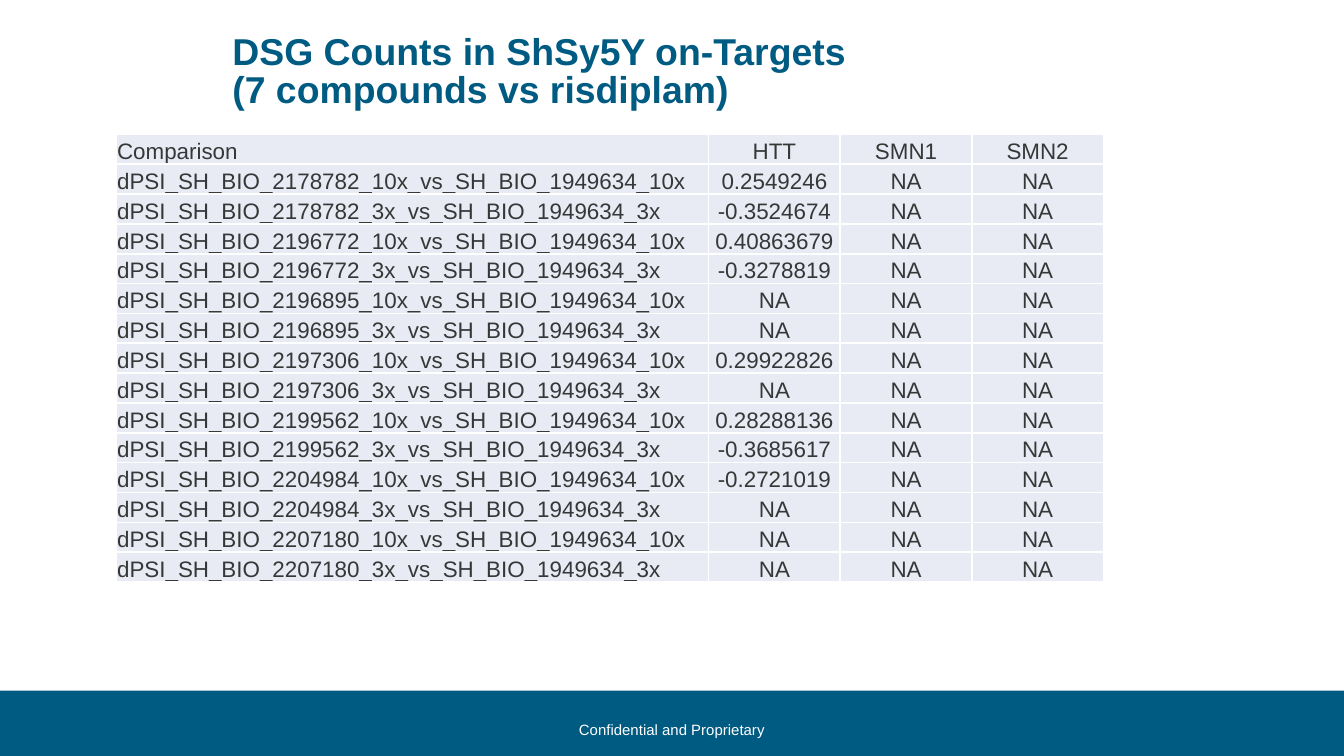
import pptx
import pptx.dml.color
import pptx.enum.shapes
import pptx.enum.text
import pptx.oxml
import pptx.oxml.ns
import pptx.util

Pt = pptx.util.Pt
RGBColor = pptx.dml.color.RGBColor
ALIGN = pptx.enum.text.PP_ALIGN
ANCHOR = pptx.enum.text.MSO_ANCHOR

# Content
TITLE = "DSG Counts in ShSy5Y on-Targets\n(7 compounds vs risdiplam)"
FOOTER = "Confidential and Proprietary"
HEADER = ("Comparison", "HTT", "SMN1", "SMN2")
DOSES = ("10x", "3x")
HTT_BY_COMPOUND = {  # one value per dose
    "2178782": ("0.2549246", "-0.3524674"),
    "2196772": ("0.40863679", "-0.3278819"),
    "2196895": ("NA", "NA"),
    "2197306": ("0.29922826", "NA"),
    "2199562": ("0.28288136", "-0.3685617"),
    "2204984": ("-0.2721019", "NA"),
    "2207180": ("NA", "NA"),
}

# Format
BLUE = RGBColor(0x00, 0x5B, 0x82)
WHITE = RGBColor(0xFF, 0xFF, 0xFF)
DARK = RGBColor(0x36, 0x38, 0x38)
CELL_FILL = RGBColor(0xE8, 0xEB, 0xF3)
SLIDE_WIDTH, SLIDE_HEIGHT = 720, 405
BAND_TOP = 370
TABLE_LEFT, TABLE_TOP, ROW_HEIGHT = 62.25, 72, 16
COLUMN_WIDTHS = (317.4, 70.5, 70.5, 70.5)


def write_text(frame, text, size, color, bold=False, align=ALIGN.LEFT, line_spacing=None):
    paragraph = frame.paragraphs[0]
    paragraph.text = text
    paragraph.alignment = align
    if line_spacing:
        paragraph.line_spacing = line_spacing
    for run in paragraph.runs:
        run.font.name = "Arial"
        run.font.size = Pt(size)
        run.font.bold = bold
        run.font.color.rgb = color


def add_borders(cell, color, width):
    properties = cell._tc.get_or_add_tcPr()
    for side in ("lnL", "lnR", "lnT", "lnB"):
        properties.append(pptx.oxml.parse_xml(
            f'<a:{side} {pptx.oxml.ns.nsdecls("a")} w="{Pt(width)}">'
            f'<a:solidFill><a:srgbClr val="{color}"/></a:solidFill></a:{side}>'))


presentation = pptx.Presentation()
presentation.slide_width = Pt(SLIDE_WIDTH)
presentation.slide_height = Pt(SLIDE_HEIGHT)
slide = presentation.slides.add_slide(presentation.slide_layouts[6])

# Footer band
band = slide.shapes.add_shape(
    pptx.enum.shapes.MSO_SHAPE.RECTANGLE,
    0, Pt(BAND_TOP), Pt(SLIDE_WIDTH), Pt(SLIDE_HEIGHT - BAND_TOP))
band.shadow.inherit = False
band.fill.solid()
band.fill.fore_color.rgb = BLUE
band.line.fill.background()

footer = slide.shapes.add_textbox(Pt(302.4), Pt(382.5), Pt(115.2), Pt(17))
footer.text_frame.word_wrap = False
footer.text_frame.vertical_anchor = ANCHOR.MIDDLE
write_text(footer.text_frame, FOOTER, size=8, color=WHITE, align=ALIGN.CENTER)

# Table of comparisons
rows = [HEADER]
for compound, values in HTT_BY_COMPOUND.items():
    for dose, value in zip(DOSES, values):
        name = f"dPSI_SH_BIO_{compound}_{dose}_vs_SH_BIO_1949634_{dose}"
        rows.append((name, value, "NA", "NA"))

table = slide.shapes.add_table(
    len(rows), len(HEADER), Pt(TABLE_LEFT), Pt(TABLE_TOP),
    Pt(sum(COLUMN_WIDTHS)), Pt(ROW_HEIGHT * len(rows))).table
for column, width in zip(table.columns, COLUMN_WIDTHS):
    column.width = Pt(width)
for row_index, row in enumerate(rows):
    table.rows[row_index].height = Pt(ROW_HEIGHT)
    for column_index, text in enumerate(row):
        cell = table.cell(row_index, column_index)
        cell.margin_left = cell.margin_right = cell.margin_top = Pt(0.5)
        cell.margin_bottom = 0
        cell.vertical_anchor = ANCHOR.BOTTOM
        add_borders(cell, WHITE, 1)
        cell.fill.solid()
        cell.fill.fore_color.rgb = CELL_FILL
        write_text(cell.text_frame, text, size=12, color=DARK,
                   align=ALIGN.CENTER if column_index else ALIGN.LEFT)

# Title
title = slide.shapes.add_textbox(Pt(117.4), Pt(15), Pt(435.6), Pt(49))
title.text_frame.word_wrap = True
title.text_frame.margin_right = 0
write_text(title.text_frame, TITLE, size=20, color=BLUE, bold=True, line_spacing=0.85)

presentation.save("out.pptx")
